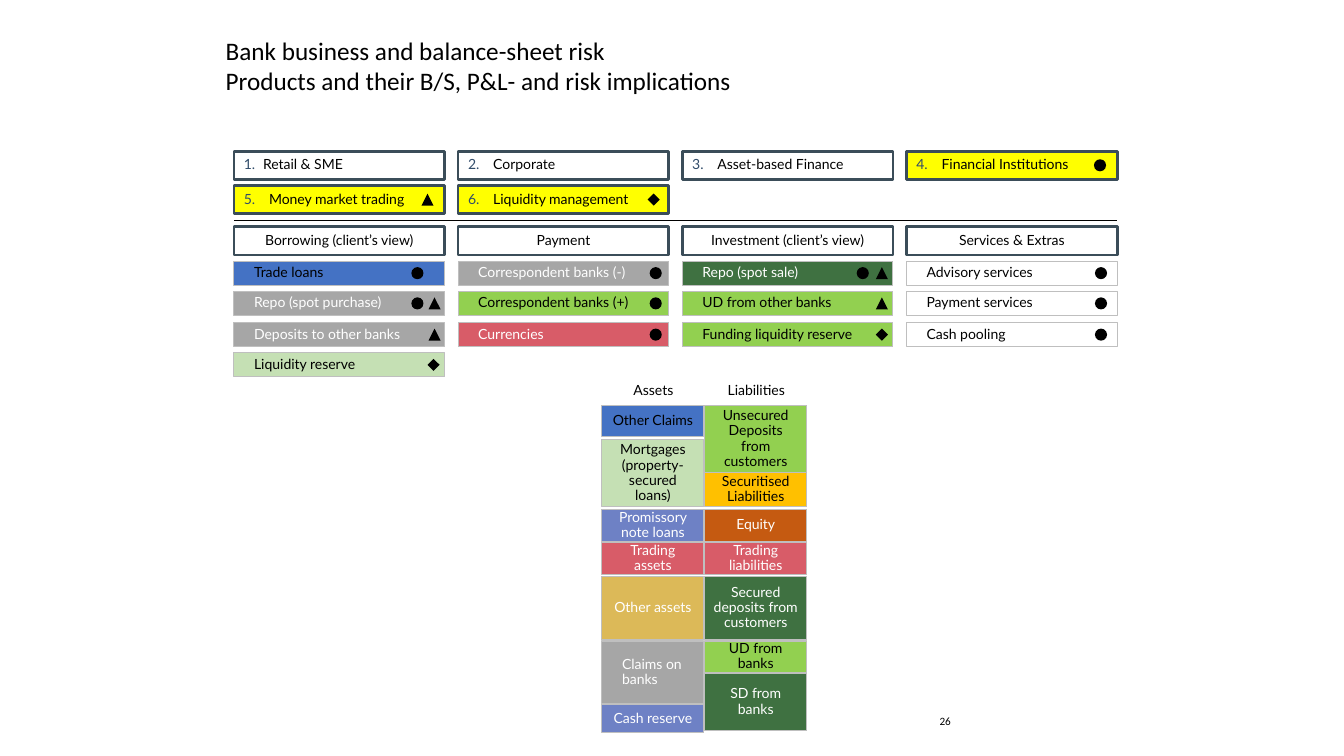
from pptx import Presentation
from pptx.dml.color import RGBColor
from pptx.enum.shapes import MSO_CONNECTOR, MSO_SHAPE as Shape
from pptx.enum.text import MSO_ANCHOR as Anchor, PP_ALIGN as Align
from pptx.oxml.ns import qn
from pptx.util import Inches, Pt
from lxml.etree import SubElement

BLACK, WHITE, SLATE, SILVER = "000000", "FFFFFF", "3B4D59", "BFBFBF"
BLUE, LILAC, GREY, RED = "4472C4", "6E81C5", "A6A6A6", "D85C68"
LIME, FOREST, MINT, YELLOW = "92D050", "3F7141", "C5E0B4", "FFFF00"
AMBER, RUST, SAND, NUMBER_BLUE = "FFC000", "C55A11", "DCB958", "314C6A"

DOT, TRIANGLE, DIAMOND = Shape.OVAL, Shape.ISOSCELES_TRIANGLE, Shape.DIAMOND
MARK_SIZE = 0.12

LEFT, RIGHT, BOX_WIDTH = 2.32, 11.08, 2.09
COLUMN_STEP = (RIGHT - LEFT - BOX_WIDTH) / 3
PRODUCT_TOPS = (2.59, 2.89, 3.2, 3.5)
PRODUCT_INSETS = (0.2, 0.08, 0.04, 0.08)
BALANCE_INSETS = (0.08, 0.08, 0.08, 0.08)

# Each mark: shape, distance from the left edge of its box
SEGMENTS = [
    ("Retail & SME", None, []),
    ("Corporate", None, []),
    ("Asset-based Finance", None, []),
    ("Financial Institutions", YELLOW, [(DOT, 1.86)]),
    ("Money market trading", YELLOW, [(TRIANGLE, 1.86)]),
    ("Liquidity management", YELLOW, [(DIAMOND, 1.88)]),
]

# Each product: label, fill, text colour, marks
PRODUCTS = {
    "Borrowing (client’s view)": [
        ("Trade loans", BLUE, BLACK, [(DOT, 1.76)]),
        ("Repo (spot purchase)", GREY, WHITE, [(DOT, 1.76), (TRIANGLE, 1.93)]),
        ("Deposits to other banks", GREY, WHITE, [(TRIANGLE, 1.93)]),
        ("Liquidity reserve", MINT, BLACK, [(DIAMOND, 1.92)]),
    ],
    "Payment": [
        ("Correspondent banks (-)", GREY, WHITE, [(DOT, 1.9)]),
        ("Correspondent banks (+)", LIME, BLACK, [(DOT, 1.9)]),
        ("Currencies", RED, WHITE, [(DOT, 1.9)]),
    ],
    "Investment (client’s view)": [
        ("Repo (spot sale)", FOREST, WHITE, [(DOT, 1.73), (TRIANGLE, 1.92)]),
        ("UD from other banks", LIME, BLACK, [(TRIANGLE, 1.92)]),
        ("Funding liquidity reserve", LIME, BLACK, [(DIAMOND, 1.92)]),
    ],
    "Services & Extras": [
        ("Advisory services", None, BLACK, [(DOT, 1.87)]),
        ("Payment services", None, BLACK, [(DOT, 1.87)]),
        ("Cash pooling", None, BLACK, [(DOT, 1.87)]),
    ],
}

# Each balance-sheet item: label, top, height, fill, text colour
ASSETS = [
    ("Other Claims", 4.02, 0.31, BLUE, BLACK),
    ("Mortgages (property-secured loans)", 4.36, 0.67, MINT, BLACK),
    ("Promissory note loans", 5.05, 0.32, LILAC, WHITE),
    ("Trading\nassets", 5.38, 0.32, RED, WHITE),
    ("Other assets", 5.72, 0.63, SAND, WHITE),
    ("Claims on banks", 6.36, 0.62, GREY, WHITE),
    ("Cash reserve", 6.99, 0.28, LILAC, WHITE),
]
LIABILITIES = [
    ("Unsecured Deposits from\ncustomers", 4.02, 0.67, LIME, BLACK),
    ("Securitised Liabilities", 4.69, 0.34, AMBER, BLACK),
    ("Equity", 5.05, 0.32, RUST, WHITE),
    ("Trading\nliabilities", 5.38, 0.32, RED, WHITE),
    ("Secured deposits from customers", 5.72, 0.63, FOREST, WHITE),
    ("UD from\nbanks", 6.36, 0.31, LIME, BLACK),
    ("SD from banks", 6.68, 0.57, FOREST, WHITE),
]


def rgb(value):
    return RGBColor.from_string(value)


def write(box, text, size=10, font="Lato", color=BLACK, align=Align.LEFT,
          anchor=Anchor.MIDDLE, insets=(0.1, 0.05, 0.1, 0.05), spacing=0.9,
          number=None, indent=0.25):
    frame = box.text_frame
    frame.word_wrap = True
    frame.vertical_anchor = anchor
    (frame.margin_left, frame.margin_top,
     frame.margin_right, frame.margin_bottom) = map(Inches, insets)
    para = frame.paragraphs[0]
    para.text = text
    if number:
        props = para._p.get_or_add_pPr()
        props.set("marL", str(Inches(indent)))
        props.set("indent", str(-Inches(indent)))
        bullet_color = SubElement(props, qn("a:buClr"))
        SubElement(bullet_color, qn("a:srgbClr"), val=NUMBER_BLUE)
        SubElement(props, qn("a:buAutoNum"), type="arabicPeriod", startAt=str(number))
    para.alignment = align
    para.line_spacing = spacing
    for span in para.runs:
        span.font.name = font
        span.font.size = Pt(size)
        span.font.color.rgb = rgb(color)


def add_box(page, kind, left, top, width, height, fill=None, line=None, weight=0.75):
    box = page.shapes.add_shape(kind, *map(Inches, (left, top, width, height)))
    box.shadow.inherit = False
    if kind == Shape.CHEVRON:
        box.adjustments[0] = 0
    if fill:
        box.fill.solid()
        box.fill.fore_color.rgb = rgb(fill)
    else:
        box.fill.background()
    if line:
        box.line.color.rgb = rgb(line)
        box.line.width = Pt(weight)
    else:
        box.line.fill.background()
    return box


def add_marks(page, left, top, height, marks):
    for kind, offset in marks:
        add_box(page, kind, left + offset, top + (height - MARK_SIZE) / 2,
                MARK_SIZE, MARK_SIZE, fill=BLACK)


def add_text(page, left, top, width, height, text, **style):
    box = page.shapes.add_textbox(*map(Inches, (left, top, width, height)))
    write(box, text, **style)


def add_segments(page, left, top):
    for index, (name, fill, marks) in enumerate(SEGMENTS):
        row, column = divmod(index, 4)
        x, y = left + column * COLUMN_STEP, top + row * 0.34
        box = add_box(page, Shape.CHEVRON, x, y, BOX_WIDTH, 0.28, fill, SLATE, 2)
        write(box, name, number=index + 1, indent=0.25 if index else 0.19)
        add_marks(page, x, y, 0.28, marks)


def add_divider(page, left, right, top):
    rule = page.shapes.add_connector(
        MSO_CONNECTOR.STRAIGHT, *map(Inches, (left, top, right, top)))
    rule.line.color.rgb = rgb(BLACK)
    rule.line.width = Pt(1)
    SubElement(rule._element.spPr, qn("a:effectLst"))


def add_product_column(page, left, top, heading, products):
    head = add_box(page, Shape.CHEVRON, left, top, BOX_WIDTH, 0.28, WHITE, SLATE, 2)
    write(head, heading, align=Align.CENTER)
    for y, (name, fill, color, marks) in zip(PRODUCT_TOPS, products):
        box = add_box(page, Shape.RECTANGLE, left, y, BOX_WIDTH, 0.24, fill, SILVER)
        write(box, name, color=color, insets=PRODUCT_INSETS)
        add_marks(page, left, y, 0.24, marks)


def add_balance_side(page, left, top, heading, items):
    head = add_box(page, Shape.CHEVRON, left, top, 1.02, 0.28, WHITE)
    write(head, heading, align=Align.CENTER)
    for name, y, height, fill, color in items:
        box = add_box(page, Shape.RECTANGLE, left, y, 1.01, height, fill, SILVER)
        if name == "Claims on banks":
            write(box, name, color=color, insets=PRODUCT_INSETS)
        else:
            write(box, name, color=color, insets=BALANCE_INSETS, align=Align.CENTER)


def main():
    deck = Presentation()
    deck.slide_width, deck.slide_height = Inches(13.33), Inches(7.5)
    page = deck.slides.add_slide(deck.slide_layouts[6])

    # Title and page number
    add_text(page, 2.14, 0.3, 9.53, 0.81,
             "Bank business and balance-sheet risk\n"
             "Products and their B/S, P&L- and risk implications",
             size=18, font="Calibri", anchor=Anchor.TOP, spacing=1.0)
    add_text(page, 9.07, 6.95, 0.46, 0.4, "26",
             size=8, font="Calibri", align=Align.RIGHT, spacing=1.0)

    # Business segments above the product columns
    add_segments(page, LEFT, 1.5)
    add_divider(page, LEFT, RIGHT, 2.19)
    for column, (heading, products) in enumerate(PRODUCTS.items()):
        add_product_column(page, LEFT + column * COLUMN_STEP, 2.25, heading, products)

    # Balance sheet
    add_balance_side(page, 5.97, 3.74, "Assets", ASSETS)
    add_balance_side(page, 6.99, 3.74, "Liabilities", LIABILITIES)

    deck.save("out.pptx")


if __name__ == "__main__":
    main()
